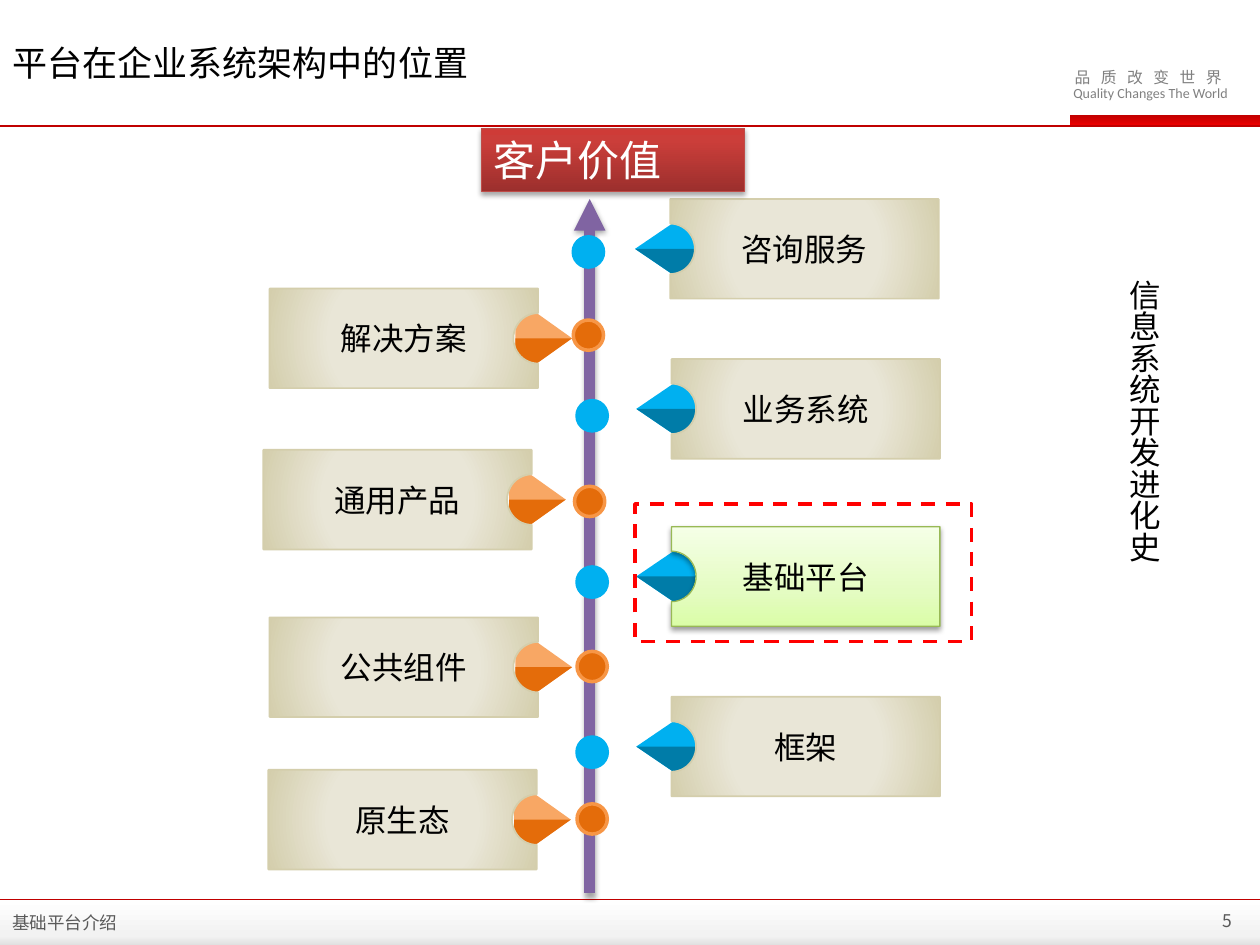
from math import cos, pi, sin

from lxml.etree import SubElement
from pptx import Presentation
from pptx.dml.color import RGBColor as RGB
from pptx.enum.dml import MSO_LINE as Dash
from pptx.enum.shapes import MSO_CONNECTOR as Link, MSO_SHAPE as Shape
from pptx.enum.text import MSO_ANCHOR as Anchor, MSO_AUTO_SIZE as Auto, PP_ALIGN as Align
from pptx.oxml.ns import qn
from pptx.util import Inches, Pt

FONT = "Noto Sans CJK SC"
WIDE, HIGH = 2.13, 0.79
BEIGE = {"grad": [(0, "E9E6D7"), (52, "E9E6D7"), (100, "D4CEAC")], "line": ("D4CEAC", 1)}
GREEN = {"grad": [(0, "DAFDA7"), (35, "E4FCC2"), (100, "F5FFE7")], "angle": 270,
         "line": ("98B955", 0.75), "shade": (38, 3.1, 1.6)}
BLUE = {"side": -1, "tip": 0.28, "base": 0.25, "half": 0.36,
        "light": "00B0F0", "dark": "007CA8"}
ORANGE = {"side": 1, "tip": 0.27, "base": 0.18, "half": 0.32,
          "light": "F8A764", "dark": "E46C0A"}
STEPS = [
    (2.14, 2.29, "解决方案", ORANGE, BEIGE),
    (5.33, 2.85, "业务系统", BLUE, BEIGE),
    (5.32, 1.58, "咨询服务", BLUE, BEIGE),
    (2.09, 3.57, "通用产品", ORANGE, BEIGE),
    (5.33, 4.18, "基础平台", BLUE, GREEN),
    (2.14, 4.9, "公共组件", ORANGE, BEIGE),
    (5.33, 5.53, "框架", BLUE, BEIGE),
    (2.13, 6.11, "原生态", ORANGE, BEIGE),
]
DOTS = [(4.55, 1.88), (4.55, 2.54), (4.58, 3.18), (4.56, 3.86),
        (4.58, 4.5), (4.58, 5.17), (4.58, 5.85), (4.58, 6.38)]


def color(code):
    """Turn a hex string into a colour."""
    return RGB.from_string(code)


def blend(shape, stops, angle):
    """Fill a shape with a linear gradient, or a round one if angle is None."""
    shape.fill.solid()
    old = shape._element.spPr.find(qn("a:solidFill"))
    grad = SubElement(shape._element.spPr, qn("a:gradFill"), rotWithShape="1")
    old.getparent().replace(old, grad)
    chain = SubElement(grad, qn("a:gsLst"))
    for pos, code in stops:
        stop = SubElement(chain, qn("a:gs"), pos=str(pos * 1000))
        SubElement(stop, qn("a:srgbClr"), val=code)
    if angle is None:
        way = SubElement(grad, qn("a:path"), path="circle")
        SubElement(way, qn("a:fillToRect"), {side: "50000" for side in "ltrb"})
    else:
        SubElement(grad, qn("a:lin"), ang=str(angle * 60000), scaled="0")


def shade(holder, alpha, blur, dist):
    """Put a black downward shadow in an effect list."""
    cast = SubElement(holder, qn("a:outerShdw"), blurRad=str(Pt(blur)),
                      dist=str(Pt(dist)), dir="5400000", rotWithShape="0")
    ink = SubElement(cast, qn("a:srgbClr"), val="000000")
    SubElement(ink, qn("a:alpha"), val=str(alpha * 1000))


def stroke(line, code, width):
    """Set the colour and width of a line."""
    line.color.rgb = color(code)
    line.width = Pt(width)


def paint(shape, look):
    """Apply fill, line and shadow from a look."""
    shape.shadow.inherit = False
    if "grad" in look:
        blend(shape, look["grad"], look.get("angle"))
    elif "fill" in look:
        shape.fill.solid()
        shape.fill.fore_color.rgb = color(look["fill"])
    else:
        shape.fill.background()
    if "line" in look:
        stroke(shape.line, *look["line"])
    else:
        shape.line.fill.background()
    if "shade" in look:
        shade(shape._element.spPr.find(qn("a:effectLst")), *look["shade"])
    return shape


def form(slide, kind, box, look):
    """Add a preset shape."""
    return paint(slide.shapes.add_shape(kind, *map(Inches, box)), look)


def outline(slide, points, look):
    """Add a closed freeform through the points."""
    first, *rest = [(Inches(x), Inches(y)) for x, y in points]
    pen = slide.shapes.build_freeform(*first)
    pen.add_line_segments(rest, close=True)
    return paint(pen.convert_to_shape(), look)


def rule(slide, ends, code, width):
    """Add a straight line without a shadow."""
    line = slide.shapes.add_connector(Link.STRAIGHT, *map(Inches, ends))
    stroke(line.line, code, width)
    SubElement(line._element.spPr, qn("a:effectLst"))
    return line


def write(shape, text, size, code="000000", align=Align.LEFT, font=FONT, gap=0, **frame):
    """Write one styled paragraph into a shape."""
    body = shape.text_frame
    for name, value in {"word_wrap": True, "vertical_anchor": Anchor.TOP, **frame}.items():
        setattr(body, name, value)
    para = body.paragraphs[0]
    para.alignment = align
    run = para.add_run()
    run.text = text
    for name, value in {"size": Pt(size), "name": font}.items():
        setattr(run.font, name, value)
    run.font.color.rgb = color(code)
    props = run._r.get_or_add_rPr()
    SubElement(props, qn("a:ea"), typeface=font)
    if gap:
        props.set("spc", str(gap * 100))


def label(slide, box, text, size, code="000000", **style):
    """Add a text box."""
    shape = slide.shapes.add_textbox(*map(Inches, box))
    write(shape, text, size, code, **style)
    return shape


def step(slide, left, top, text, kind, look):
    """Add a notched box with a two-tone pointer towards the axis."""
    side, half = kind["side"], kind["half"]
    edge = left + WIDE if side > 0 else left
    far, mid = edge - side * WIDE, top + HIGH / 2
    tip, base = edge + side * kind["tip"], edge - side * kind["base"]
    span = abs(tip - base)
    box = ((tip + base) / 2 - half, mid - span / 2, 2 * half, span)
    form(slide, Shape.ISOSCELES_TRIANGLE, box, {"fill": kind["light"]}).rotation = side * 90 % 360
    outline(slide, [(base, mid + half), (tip, mid), (base, mid)], {"fill": kind["dark"]})
    turns = [pi * i / 24 for i in range(25)]
    notch = [(edge - side * 0.195 * sin(t), mid + 0.2 * cos(t)) for t in turns]
    rim = [(edge, top), (far, top), (far, top + HIGH), (edge, top + HIGH)]
    write(outline(slide, rim + notch, look), text, 18,
          align=Align.CENTER, vertical_anchor=Anchor.MIDDLE)


def frame(slide):
    """Add the header and footer bands."""
    grey = "808080"
    form(slide, Shape.RECTANGLE, (8.49, 0.91, 1.51, 0.09),
         {"grad": [(0, "C00000"), (100, "EE0000")], "angle": 90})
    label(slide, (8.43, 0.49, 1.51, 0.25), "品质改变世界", 9, grey, gap=6, word_wrap=False)
    label(slide, (8.42, 0.62, 1.58, 0.24), "Quality Changes The World", 8, grey, font="Calibri")
    rule(slide, (0, 1, 10, 1), "C00000", 1.5)
    form(slide, Shape.RECTANGLE, (0, 7.14, 10, 0.38),
         {"grad": [(0, "FFFFFF"), (75, "F2F2F2"), (100, "DCDCDC")], "angle": 90})
    rule(slide, (0, 7.14, 10, 7.14), "C00000", 1)
    foot = {"code": "595959", "vertical_anchor": Anchor.MIDDLE}
    label(slide, (0, 7.21, 3.4, 0.22), "基础平台介绍", 10, **foot)
    label(slide, (8.7, 7.18, 1.18, 0.25), "5", 10, align=Align.RIGHT, **foot)


def axis(slide):
    """Add the upward arrow."""
    line = rule(slide, (4.68, 1.58, 4.68, 7.09), "8064A2", 6)
    props = line._element.spPr
    SubElement(props.find(qn("a:ln")), qn("a:headEnd"), type="triangle")
    shade(props.find(qn("a:effectLst")), 35, 3.1, 1.8)


def main():
    """Build and save the slide."""
    deck = Presentation()
    deck.slide_width, deck.slide_height = Inches(10), Inches(7.5)
    slide = deck.slides.add_slide(deck.slide_layouts[6])
    frame(slide)
    axis(slide)
    for i, (left, top) in enumerate(DOTS):
        fill, line = [("00B0F0", "00B0F0"), ("E46C0A", "F79646")][i % 2]
        form(slide, Shape.OVAL, (left, top, 0.24, 0.24), {"fill": fill, "line": (line, 2)})
    for item in STEPS:
        step(slide, *item)
    goal = form(slide, Shape.RECTANGLE, (3.82, 1.02, 2.09, 0.5),
                {"grad": [(0, "9C2F2D"), (80, "CB3E3A"), (100, "CE3B37")], "angle": 270,
                 "line": ("BF4C48", 0.75), "shade": (35, 3.1, 1.8)})
    write(goal, "客户价值", 24, "FFFFFF", auto_size=Auto.SHAPE_TO_FIT_TEXT)
    fit = {"word_wrap": False, "auto_size": Auto.SHAPE_TO_FIT_TEXT}
    label(slide, (0, 0.28, 3.85, 0.44), "平台在企业系统架构中的位置", 20, **fit)
    focus = form(slide, Shape.RECTANGLE, (5.04, 4, 2.67, 1.09), {"line": ("FF0000", 2)})
    focus.line.dash_style = Dash.DASH
    story = label(slide, (8.78, 2.12, 0.5, 2.37), "信息系统开发进化史", 18, **fit)
    story.text_frame._txBody.bodyPr.set("vert", "eaVert")
    deck.save("out.pptx")


if __name__ == "__main__":
    main()
